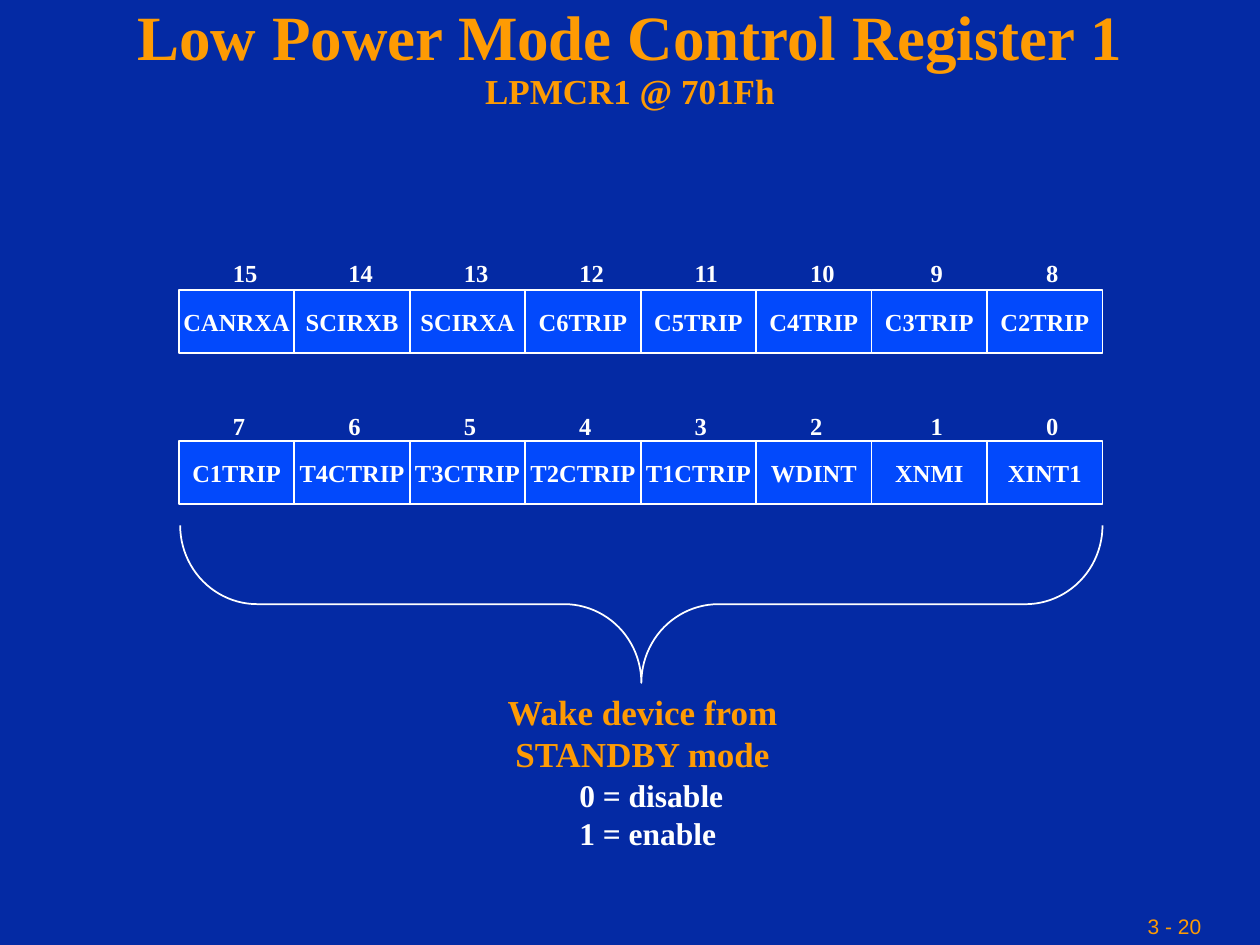
from pptx import Presentation
from pptx.dml.color import RGBColor
from pptx.enum import shapes, text
from pptx.util import Inches, Pt

COLORS = {"background": "042AA4", "cell": "0249FC", "accent": "FE9B03", "white": "FFFFFF"}
SERIF = "Times New Roman"

TITLE = "Low Power Mode Control Register 1"
SUBTITLE = "LPMCR1 @ 701Fh"
# highest bit number, top of bit numbers, top of cells, bit names
REGISTER_ROWS = [
    (15, 2.0, 2.3, ["CANRXA", "SCIRXB", "SCIRXA", "C6TRIP",
                    "C5TRIP", "C4TRIP", "C3TRIP", "C2TRIP"]),
    (7, 3.21, 3.5, ["C1TRIP", "T4CTRIP", "T3CTRIP", "T2CTRIP",
                    "T1CTRIP", "WDINT", "XNMI", "XINT1"]),
]
MEANING = ["Wake device from", "STANDBY mode"]
VALUES = ["0 = disable", "1 = enable"]
PAGE_NUMBER = "3 - 20"

GRID_LEFT, GRID_WIDTH, CELL_HEIGHT = 1.42, 7.33, 0.5
CELL_WIDTH = GRID_WIDTH / 8


def rgb(name):
    return RGBColor.from_string(COLORS[name])


def write(p, words, size=14, color="white", font=SERIF, bold=True):
    r = p.add_run()
    r.text = words
    r.font.size, r.font.name, r.font.bold = Pt(size), font, bold
    r.font.color.rgb = rgb(color)


def add_text(slide, lines, left, top, width, height, wrap=False, align="LEFT", **style):
    sp = slide.shapes.add_textbox(*map(Inches, (left, top, width, height)))
    tf = sp.text_frame
    tf.word_wrap = wrap
    tf.auto_size = text.MSO_AUTO_SIZE.NONE if wrap else text.MSO_AUTO_SIZE.SHAPE_TO_FIT_TEXT
    for i, line in enumerate(lines):
        p = tf.add_paragraph() if i else tf.paragraphs[0]
        p.alignment = text.PP_ALIGN[align]
        write(p, line, **style)
    return tf


def add_outlined(slide, kind, left, top, width, height):
    sp = slide.shapes.add_shape(kind, *map(Inches, (left, top, width, height)))
    sp.shadow.inherit = False
    sp.line.color.rgb = rgb("white")
    sp.line.width = Pt(1)
    return sp


def add_cell(slide, name, left, top):
    sp = add_outlined(slide, shapes.MSO_SHAPE.RECTANGLE, left, top, CELL_WIDTH, CELL_HEIGHT)
    sp.fill.solid()
    sp.fill.fore_color.rgb = rgb("cell")
    tf = sp.text_frame
    tf.word_wrap = False
    tf.vertical_anchor = text.MSO_ANCHOR.MIDDLE
    p = tf.paragraphs[0]
    p.alignment = text.PP_ALIGN.CENTER
    write(p, name)


def add_brace(slide):
    """Downward brace: a right brace turned a quarter about its centre."""
    left, top, span, depth = 1.43, 4.17, 7.32, 1.25
    sp = add_outlined(slide, shapes.MSO_SHAPE.RIGHT_BRACE, left + (span - depth) / 2,
                      top + (depth - span) / 2, depth, span)
    sp.fill.background()
    sp.adjustments[0], sp.adjustments[1] = 0.49, 0.5
    sp.rotation = 90


def main():
    prs = Presentation()
    prs.slide_width, prs.slide_height = Inches(10), Inches(7.5)
    s = prs.slides.add_slide(prs.slide_layouts[6])
    s.background.fill.solid()
    s.background.fill.fore_color.rgb = rgb("background")

    add_text(s, [PAGE_NUMBER], 9.01, 7.2, 1.2, 0.3,
             size=12, color="accent", font="Arial", bold=False)
    tf = add_text(s, [TITLE], 0.75, 0, 8.5, 1.25, wrap=True, align="CENTER",
                  size=36, color="accent")
    p = tf.paragraphs[0]
    p.line_spacing = 0.9
    p.add_line_break()
    write(p, SUBTITLE, size=20, color="accent")

    for high_bit, number_top, cell_top, names in REGISTER_ROWS:
        for column, name in enumerate(names):
            left = GRID_LEFT + column * CELL_WIDTH
            bit = high_bit - column
            add_cell(s, name, left, cell_top)
            indent = 0.37 if column >= 6 else 0.33
            add_text(s, [str(bit)], left + indent, number_top,
                     0.41 if bit > 9 else 0.3, 0.34)

    add_brace(s)
    add_text(s, MEANING, 3.92, 5.43, 2.36, 0.77, align="CENTER", size=20, color="accent")
    add_text(s, VALUES, 4.5, 6.11, 1.36, 0.7, size=18)
    prs.save("out.pptx")


if __name__ == "__main__":
    main()
